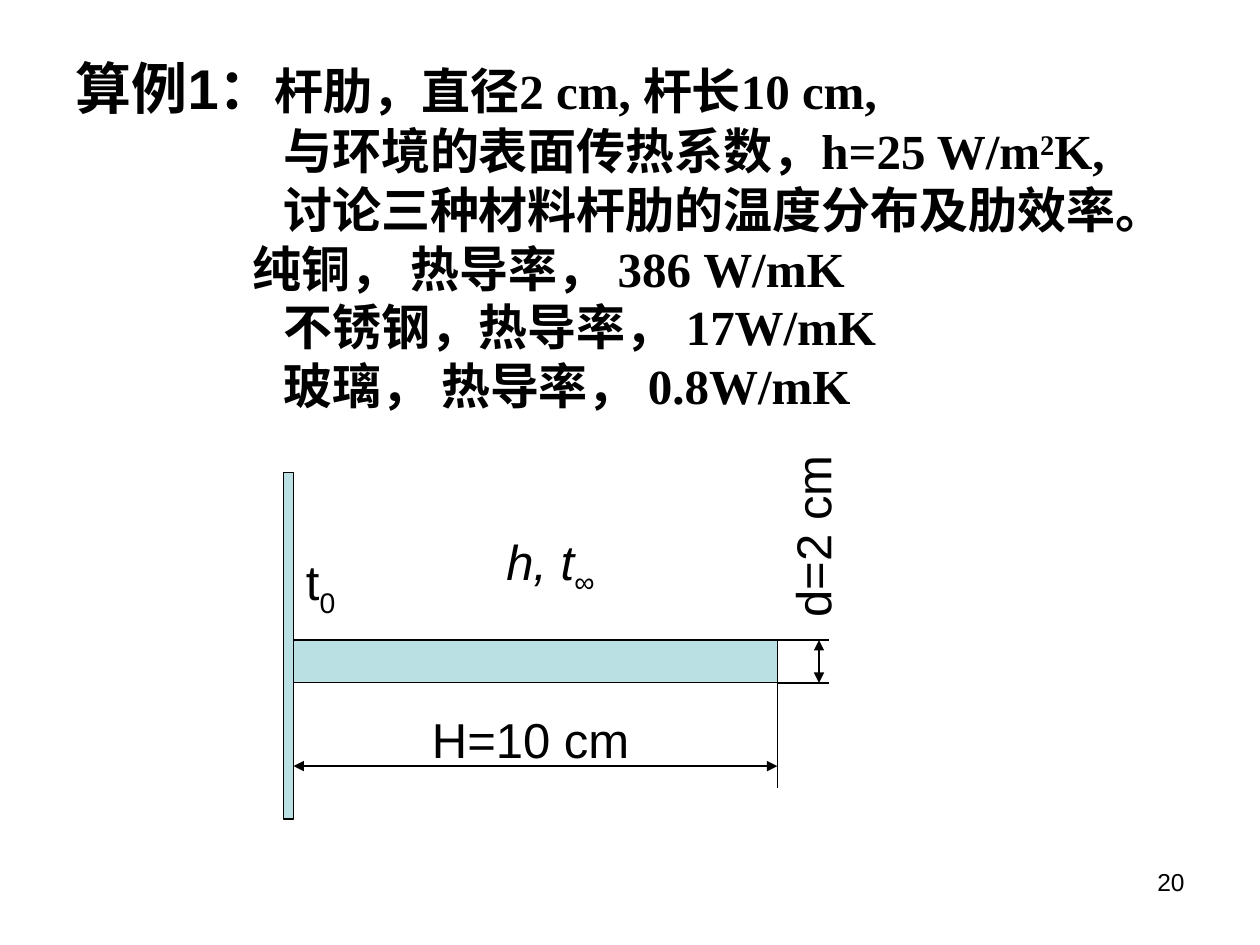
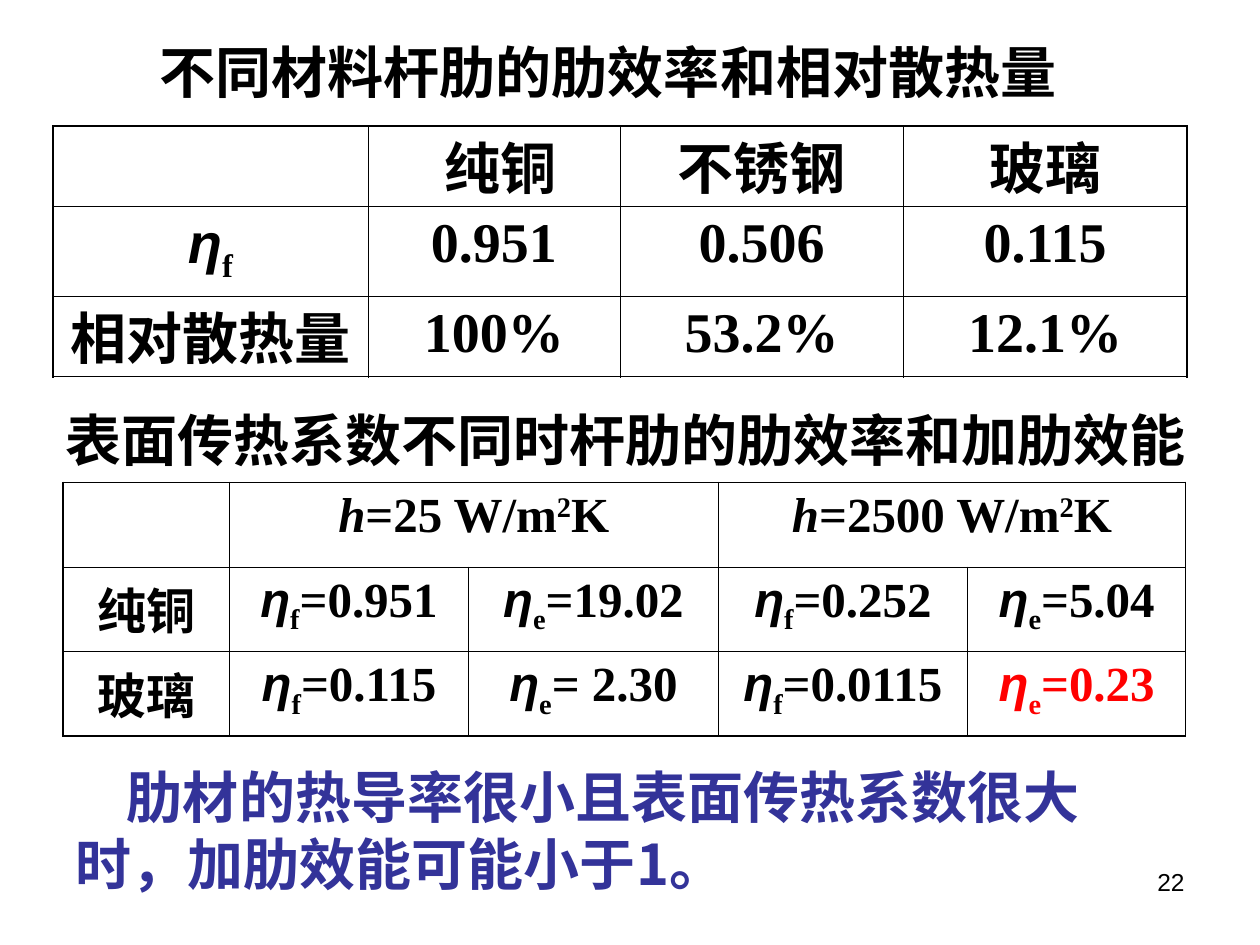
from lxml import etree
from pptx import Presentation
from pptx.dml.color import RGBColor
from pptx.enum.shapes import MSO_CONNECTOR, MSO_SHAPE
from pptx.enum.text import MSO_ANCHOR, PP_ALIGN
from pptx.oxml.ns import qn
from pptx.util import Inches, Pt

BLACK = RGBColor(0x00, 0x00, 0x00)
RED = RGBColor(0xFF, 0x00, 0x00)
BLUE = RGBColor(0x33, 0x33, 0x99)
PALE_TEAL = RGBColor(0xBB, 0xE0, 0xE3)

SANS, SERIF, CJK = "Arial", "Times New Roman", "Noto Sans CJK SC"
STRAIGHT, RECTANGLE = MSO_CONNECTOR.STRAIGHT, MSO_SHAPE.RECTANGLE
TOP, MIDDLE = MSO_ANCHOR.TOP, MSO_ANCHOR.MIDDLE
LEFT, CENTER, RIGHT = PP_ALIGN.LEFT, PP_ALIGN.CENTER, PP_ALIGN.RIGHT
SUPERSCRIPT, SUBSCRIPT = 30, -25
OUTER_BORDER, INNER_BORDER = 1.08, 0.45


# Text
def add_run(paragraph, text, size=28, font=SANS, color=BLACK,
            bold=False, italic=False, baseline=0):
    run = paragraph.add_run()
    run.text = text
    run.font.size = Pt(size)
    run.font.name = font
    run.font.bold = bold
    run.font.italic = italic
    run.font.color.rgb = color
    properties = run._r.get_or_add_rPr()
    if baseline:
        properties.set("baseline", str(baseline * 1000))
    east_asian = etree.SubElement(properties, qn("a:ea"))
    east_asian.set("typeface", CJK)


def add_runs(paragraph, runs, **shared):
    for text, style in runs:
        add_run(paragraph, text, **{**shared, **style})


def set_indent(paragraph, left=0, first=0):
    properties = paragraph._p.get_or_add_pPr()
    properties.set("marL", str(Inches(left)))
    properties.set("indent", str(Inches(first)))


def add_text_box(slide, left, top, width, height, anchor=TOP, top_inset=0.05):
    box = slide.shapes.add_textbox(Inches(left), Inches(top), Inches(width), Inches(height))
    frame = box.text_frame
    frame.word_wrap = True
    frame.vertical_anchor = anchor
    frame.margin_top = Inches(top_inset)
    return frame


def add_label(slide, bounds, runs, align=LEFT, line_points=None, **style):
    frame = add_text_box(slide, *bounds)
    paragraph = frame.paragraphs[0]
    paragraph.alignment = align
    if line_points:
        paragraph.line_spacing = Pt(line_points)
    add_runs(paragraph, runs, **style)
    return frame


def add_heading(slide, bounds, text):
    add_label(slide, bounds, [(text, {})], line_points=38.5, size=32, bold=True)


def add_page_number(slide, number):
    add_label(slide, (7.17, 6.83, 2.33, 0.52), [(str(number), {})], RIGHT, size=14)


# Drawing
def add_bar(slide, left, top, width, height):
    bar = slide.shapes.add_shape(
        RECTANGLE, Inches(left), Inches(top), Inches(width), Inches(height))
    bar.shadow.inherit = False
    bar.fill.solid()
    bar.fill.fore_color.rgb = PALE_TEAL
    bar.line.color.rgb = BLACK
    bar.line.width = Pt(0.75)


def add_line(slide, start, end, arrows=False):
    line = slide.shapes.add_connector(STRAIGHT, *map(Inches, start + end))
    line.line.color.rgb = BLACK
    line.line.width = Pt(0.75)
    if arrows:
        outline = line.line._get_or_add_ln()
        for tag in ("a:headEnd", "a:tailEnd"):
            etree.SubElement(outline, qn(tag)).set("type", "triangle")
    etree.SubElement(line._element.spPr, qn("a:effectLst"))


# Tables
def set_borders(cell, widths):
    properties = cell._tc.get_or_add_tcPr()
    for position, (side, width) in enumerate(widths.items()):
        border = etree.Element(qn(f"a:ln{side}"))
        border.set("w", str(Pt(width)))
        fill = etree.SubElement(border, qn("a:solidFill"))
        etree.SubElement(fill, qn("a:srgbClr")).set("val", str(BLACK))
        properties.insert(position, border)


def add_table(slide, left, top, widths, heights, rows, size, merges=(), cjk_line=None):
    frame = slide.shapes.add_table(len(heights), len(widths), Inches(left), Inches(top),
                                   Inches(sum(widths)), Inches(sum(heights)))
    table = frame.table
    for column, width in zip(table.columns, widths):
        column.width = Inches(width)
    for row, height in zip(table.rows, heights):
        row.height = Inches(height)
    last_row, last_column = len(heights) - 1, len(widths) - 1
    for r, row in enumerate(rows):
        for c, runs in enumerate(row):
            cell = table.cell(r, c)
            cell.fill.background()
            set_borders(cell, {
                side: OUTER_BORDER if at_edge else INNER_BORDER
                for side, at_edge in (("L", c == 0), ("R", c == last_column),
                                      ("T", r == 0), ("B", r == last_row))})
            paragraph = cell.text_frame.paragraphs[0]
            paragraph.alignment = CENTER
            add_runs(paragraph, runs, size=size, font=SERIF, bold=True)
            if cjk_line and runs and runs[0][0].strip() >= "一":
                paragraph.line_spacing = Pt(cjk_line)
                cell.margin_bottom = 0
    for r, first, last in merges:
        table.cell(r, first).merge(table.cell(r, last))


def plain(text):
    return [(text, {})]


def eta(subscript, value="", color=BLACK):
    runs = [("η", {"font": SANS, "italic": True, "color": color}),
            (subscript, {"baseline": SUBSCRIPT, "color": color})]
    return runs + [(value, {"color": color})] if value else runs


def coefficient(value):
    return [("h", {"italic": True}), (f"={value} W/m", {}),
            ("2", {"baseline": SUPERSCRIPT}), ("K", {})]


# Slide with the worked example
def add_problem_statement(slide):
    # The material lines are set apart with en spaces
    statement = [
        ([("算例1：", {"size": 32, "font": SANS}), ("杆肋，直径2 cm, 杆长10 cm,", {})], 0),
        ([("与环境的表面传热系数，h=25 W/m", {}), ("2", {"baseline": SUPERSCRIPT}),
          ("K,", {})], 1.65),
        (plain("讨论三种材料杆肋的温度分布及肋效率。"), 1.65),
        (plain("纯铜， 热导率， 386 W/mK"), 1.41),
        (plain("不锈钢，热导率， 17W/mK"), 1.65),
        (plain("玻璃， 热导率， 0.8W/mK"), 1.65),
    ]
    frame = add_text_box(slide, 0.5, 0.3, 9, 3.12, anchor=MIDDLE, top_inset=0.11)
    for index, (runs, indent) in enumerate(statement):
        paragraph = frame.add_paragraph() if index else frame.paragraphs[0]
        paragraph.line_spacing = Pt(33.5)
        set_indent(paragraph, left=indent)
        add_runs(paragraph, runs, font=SERIF, bold=True)


def add_fin_drawing(slide):
    wall_right, fin_right = 2.33, 6.17
    fin_top, fin_bottom = 5.08, 5.42
    extension_right, length_y, diameter_x = 6.58, 6.08, 6.5

    # Wall and fin
    add_bar(slide, 2.25, 3.75, 0.08, 2.75)
    add_bar(slide, wall_right, fin_top, fin_right - wall_right, fin_bottom - fin_top)

    # Dimension lines
    add_line(slide, (fin_right, fin_bottom), (fin_right, 6.25))
    for y in (fin_top, fin_bottom):
        add_line(slide, (fin_right, y), (extension_right, y))
    add_line(slide, (wall_right, length_y), (fin_right, length_y), arrows=True)
    add_line(slide, (diameter_x, fin_top), (diameter_x, fin_bottom), arrows=True)

    # Labels
    add_label(slide, (3.33, 5.58, 1.92, 0.57), plain("H=10 cm"))
    add_label(slide, (3.92, 4.17, 1.33, 0.63),
              [("h, t", {"italic": True}), ("∞", {"baseline": SUBSCRIPT})])
    add_label(slide, (2.33, 4.33, 0.5, 0.63), [("t", {}), ("0", {"baseline": SUBSCRIPT})])
    diameter = add_label(slide, (6.16, 3.5, 0.66, 1.5), plain("d=2 cm"))
    diameter.margin_left = diameter.margin_right = Inches(0.05)
    diameter.margin_top = diameter.margin_bottom = Inches(0.1)
    diameter._txBody.bodyPr.set("vert", "vert270")


# Slide with the result tables
def add_results(slide):
    add_heading(slide, (1.17, 0.25, 7.5, 0.64), "不同材料杆肋的肋效率和相对散热量")
    materials = [
        [[], plain(" 纯铜"), plain("不锈钢"), plain("玻璃")],
        [eta("f"), plain("0.951"), plain("0.506"), plain("0.115")],
        [plain("相对散热量"), plain("100%"), plain("53.2%"), plain("12.1%")],
    ]
    add_table(slide, 0.42, 1, (2.5, 2, 2.25, 2.25), (0.64, 0.71, 0.64),
              materials, size=32, cjk_line=42)

    add_heading(slide, (0.42, 3.17, 9.17, 0.64), "表面传热系数不同时杆肋的肋效率和加肋效能")
    coefficients = [
        [[], coefficient(25), [], coefficient(2500), []],
        [plain("纯铜"), eta("f", "=0.951"), eta("e", "=19.02"),
         eta("f", "=0.252"), eta("e", "=5.04")],
        [plain("玻璃"), eta("f", "=0.115"), eta("e", "= 2.30"),
         eta("f", "=0.0115"), eta("e", "=0.23", RED)],
    ]
    add_table(slide, 0.5, 3.83, (1.32, 1.9, 1.98, 1.98, 1.73), (0.67,) * 3,
              coefficients, size=28, merges=((0, 1, 2), (0, 3, 4)))


def add_conclusion(slide):
    frame = add_label(
        slide, (0.5, 6, 8.83, 1.17),
        plain("肋材的热导率很小且表面传热系数很大时，加肋效能可能小于1。"),
        line_points=38, size=32, font=CJK, color=BLUE, bold=True)
    frame.margin_top = Inches(0.06)
    frame.margin_right = Inches(0.4)
    set_indent(frame.paragraphs[0], first=0.41)


def main():
    presentation = Presentation()
    presentation.slide_width, presentation.slide_height = Inches(10), Inches(7.5)
    blank = presentation.slide_layouts[6]

    example = presentation.slides.add_slide(blank)
    add_page_number(example, 20)
    add_problem_statement(example)
    add_fin_drawing(example)

    results = presentation.slides.add_slide(blank)
    add_page_number(results, 22)
    add_results(results)
    add_conclusion(results)

    presentation.save("out.pptx")


if __name__ == "__main__":
    main()
